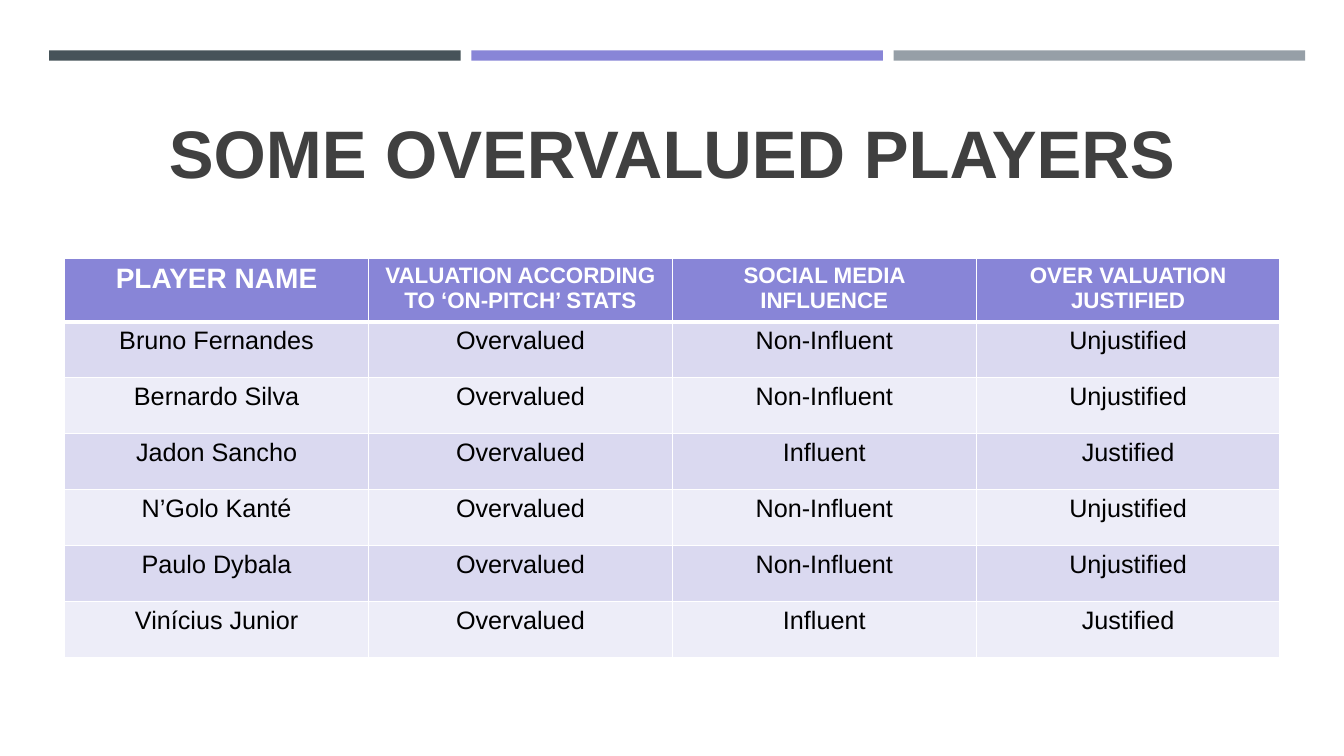
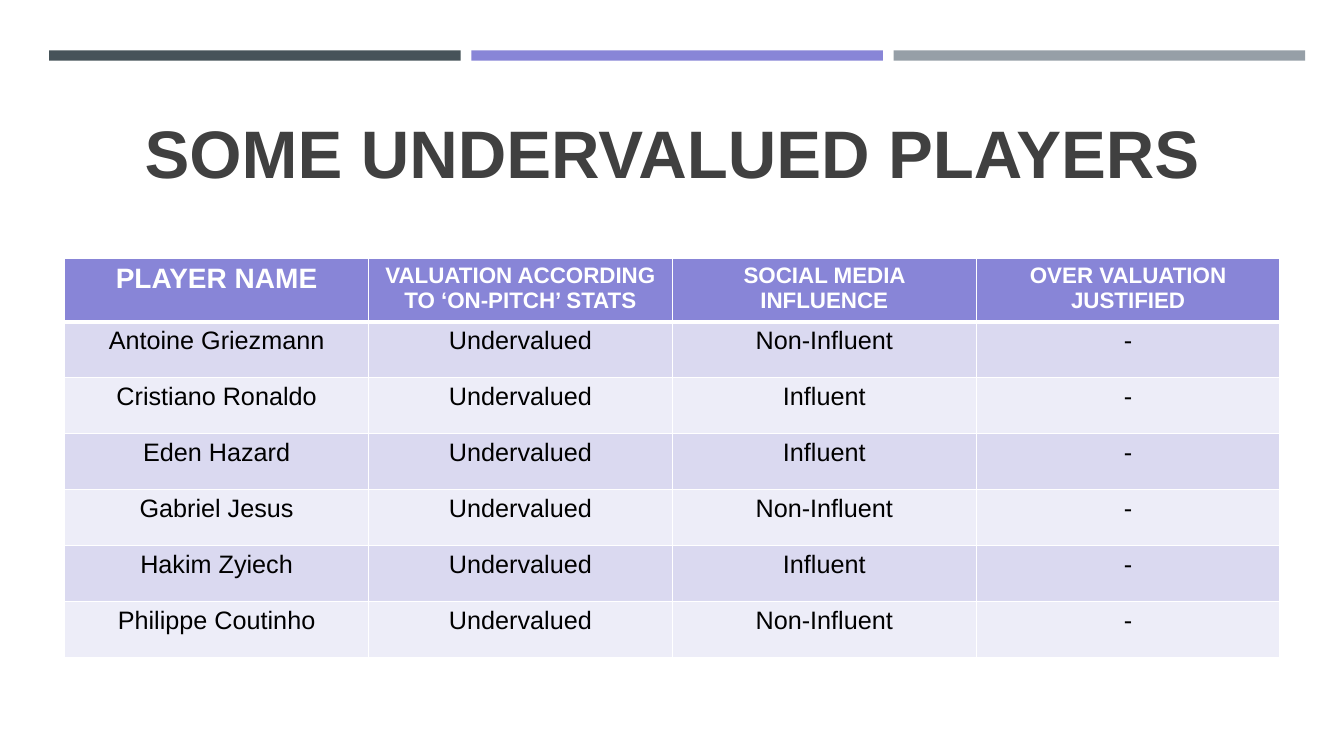
import pptx
import pptx.dml.color
import pptx.enum.shapes
import pptx.enum.text
import pptx.oxml
import pptx.oxml.ns
import pptx.util

Cm = pptx.util.Cm
Pt = pptx.util.Pt

COLORS = {
    "slate": "465359",
    "violet": "8885D7",
    "gray": "969FA7",
    "title": "404040",
    "band_dark": "DAD9F0",
    "band_light": "EDEDF8",
    "white": "FFFFFF",
    "black": "000000",
}

HEADERS = [
    "PLAYER NAME",
    "VALUATION ACCORDING TO ‘ON-PITCH’ STATS",
    "SOCIAL MEDIA INFLUENCE",
    "OVER VALUATION JUSTIFIED",
]

OVERVALUED = [
    ("Bruno Fernandes", "Overvalued", "Non-Influent", "Unjustified"),
    ("Bernardo Silva", "Overvalued", "Non-Influent", "Unjustified"),
    ("Jadon Sancho", "Overvalued", "Influent", "Justified"),
    ("N’Golo Kanté", "Overvalued", "Non-Influent", "Unjustified"),
    ("Paulo Dybala", "Overvalued", "Non-Influent", "Unjustified"),
    ("Vinícius Junior", "Overvalued", "Influent", "Justified"),
]

UNDERVALUED = [
    ("Antoine Griezmann", "Undervalued", "Non-Influent", "-"),
    ("Cristiano Ronaldo", "Undervalued", "Influent", "-"),
    ("Eden Hazard", "Undervalued", "Influent", "-"),
    ("Gabriel Jesus", "Undervalued", "Non-Influent", "-"),
    ("Hakim Zyiech", "Undervalued", "Influent", "-"),
    ("Philippe Coutinho", "Undervalued", "Non-Influent", "-"),
]


def rgb(name):
    return pptx.dml.color.RGBColor.from_string(COLORS[name])


def write(tf, text, size=18, color="black", bold=False, spacing=None):
    p = tf.paragraphs[0]
    p.alignment = pptx.enum.text.PP_ALIGN.CENTER
    p.line_spacing = spacing
    r = p.add_run()
    r.text = text
    r.font.name = "Arial"
    r.font.size = Pt(size)
    r.font.bold = bold
    r.font.color.rgb = rgb(color)


class Deck:
    """Builds slides that share one style."""

    left, width = Cm(1.63), Cm(30.63)

    def __init__(self):
        self.prs = pptx.Presentation()
        self.prs.slide_width = Cm(33.87)
        self.prs.slide_height = Cm(19.05)
        self.s = None

    def add_slide(self, title):
        self.s = self.prs.slides.add_slide(self.prs.slide_layouts[6])
        for i, color in enumerate(("slate", "violet", "gray")):
            self.bar(Cm(1.24 + 10.64 * i), color)
        self.title(title)

    def bar(self, left, color):
        sp = self.s.shapes.add_shape(
            pptx.enum.shapes.MSO_SHAPE.RECTANGLE, left, Cm(1.27), Cm(10.37), Cm(0.26))
        sp.shadow.inherit = False
        sp.fill.solid()
        sp.fill.fore_color.rgb = rgb(color)
        sp.line.fill.background()

    def title(self, text):
        tf = self.s.shapes.add_textbox(self.left, Cm(3), self.width, Cm(2)).text_frame
        tf.word_wrap = True
        tf.vertical_anchor = pptx.enum.text.MSO_ANCHOR.BOTTOM
        write(tf, text, size=48, color="title", bold=True, spacing=0.9)

    def borders(self, cell, **widths):
        tcPr = cell._tc.get_or_add_tcPr()
        for side in "LRTB":
            tcPr.append(pptx.oxml.parse_xml(
                f'<a:ln{side} {pptx.oxml.ns.nsdecls("a")} w="{Pt(widths.get(side, 1))}">'
                f'<a:solidFill><a:srgbClr val="{COLORS["white"]}"/></a:solidFill>'
                f'</a:ln{side}>'))

    def cell(self, cell, text, fill, edges, **text_format):
        self.borders(cell, **edges)
        cell.fill.solid()
        cell.fill.fore_color.rgb = rgb(fill)
        write(cell.text_frame, text, **text_format)

    def table(self, headers, rows):
        row_height = Cm(1.41)
        table = self.s.shapes.add_table(
            len(rows) + 1, len(headers), self.left, Cm(6.5),
            self.width, row_height * (len(rows) + 1)).table
        for row in table.rows:
            row.height = row_height
        for j, text in enumerate(headers):
            self.cell(table.cell(0, j), text, "violet", {"B": 3},
                      size=16 if j else 20, color="white", bold=True)
        for i, values in enumerate(rows, 1):
            fill = "band_dark" if i % 2 else "band_light"
            edges = {"T": 3} if i == 1 else {}
            for j, text in enumerate(values):
                self.cell(table.cell(i, j), text, fill, edges)


def main():
    deck = Deck()
    for title, rows in (("SOME OVERVALUED PLAYERS", OVERVALUED),
                        ("SOME UNDERVALUED PLAYERS", UNDERVALUED)):
        deck.add_slide(title)
        deck.table(HEADERS, rows)
    deck.prs.save("out.pptx")


if __name__ == "__main__":
    main()
